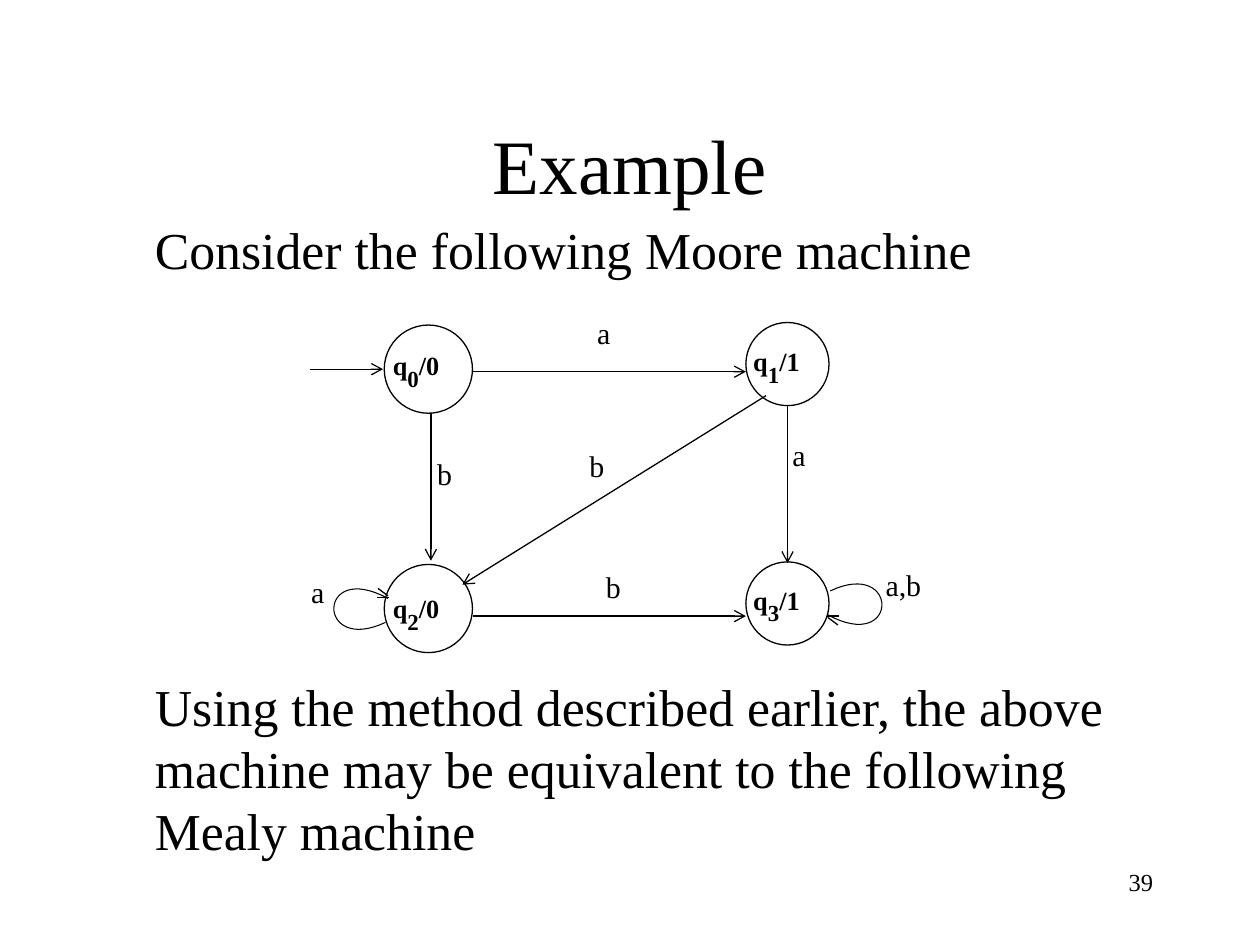
from lxml.etree import SubElement
from pptx import Presentation
from pptx.dml.color import RGBColor
from pptx.enum.shapes import MSO_CONNECTOR as Connector, MSO_SHAPE as Preset
from pptx.enum.text import MSO_ANCHOR as Anchor, PP_ALIGN as Align
from pptx.oxml.ns import qn
from pptx.util import Pt

PX = 9144
BLACK = RGBColor(0, 0, 0)
WHITE = RGBColor(255, 255, 255)
FONT = "Times New Roman"
LOOP_STEPS = 32


def add_text(slide, box, text, size, align=Align.LEFT, anchor=Anchor.TOP,
             spacing=None, bold=False):
    shape = slide.shapes.add_textbox(*(value * PX for value in box))
    frame = shape.text_frame
    frame.word_wrap = True
    frame.vertical_anchor = anchor
    paragraph = frame.paragraphs[0]
    paragraph.text = text
    paragraph.alignment = align
    paragraph.line_spacing = spacing
    font = paragraph.font
    font.name, font.size, font.bold = FONT, Pt(size), bold
    font.color.rgb = BLACK
    return paragraph


def add_title(slide, box, text):
    add_text(slide, box, text, 44, Align.CENTER, Anchor.MIDDLE)


def add_body(slide, box, text):
    left, top, width, height = box
    indent = 38
    add_text(slide, (left + indent, top, width - indent, height), text, 29.6,
             spacing=Pt(35.4))


def add_page_number(slide, box, text):
    add_text(slide, box, text, 14, Align.RIGHT)


def add_line(slide, start, end, arrow=False):
    points = [value * PX for value in (*start, *end)]
    connector = slide.shapes.add_connector(Connector.STRAIGHT, *points)
    connector.line.color.rgb = BLACK
    connector.line.width = Pt(0.75)
    if arrow:
        SubElement(connector.line._get_or_add_ln(), qn("a:tailEnd"), type="arrow")
    SubElement(connector._element.spPr, qn("a:effectLst"))


def add_state(slide, box, label_offset, index, output):
    left, top, width, height = box
    circle = slide.shapes.add_shape(Preset.OVAL, *(value * PX for value in box))
    circle.shadow.inherit = False
    circle.fill.solid()
    circle.fill.fore_color.rgb = WHITE
    circle.line.color.rgb = BLACK
    circle.line.width = Pt(0.75)

    label_box = (left + label_offset[0], top + label_offset[1], 96, 46)
    paragraph = add_text(slide, label_box, "q", 15, spacing=0.8, bold=True)
    subscript = paragraph.add_run()
    subscript.text = index
    subscript.font.size = Pt(22.5)
    subscript._r.get_or_add_rPr().set("baseline", "-30000")
    paragraph.add_run().text = f"/{output}"


def add_loop(slide, origin, direction):
    def place(x, y):
        return origin[0] + direction * x, origin[1] + direction * y

    curve = [place(*point) for point in ((0, 0), (55, -26), (55, 50), (-2, 19))]
    outline = []
    for step in range(LOOP_STEPS + 1):
        t = step / LOOP_STEPS
        weights = ((1 - t) ** 3, 3 * t * (1 - t) ** 2, 3 * t ** 2 * (1 - t), t ** 3)
        outline.append(tuple(
            round(PX * sum(weight * point[axis] for weight, point in zip(weights, curve)))
            for axis in (0, 1)))
    builder = slide.shapes.build_freeform(*outline[0])
    builder.add_line_segments(outline[1:], close=False)
    loop = builder.convert_to_shape()
    loop.shadow.inherit = False
    loop.fill.background()
    loop.line.color.rgb = BLACK
    loop.line.width = Pt(0.6)

    for start, end in (((-2, 21), (6, 27)), ((7, 20), (-3, 20))):
        add_line(slide, place(*start), place(*end))


def add_moore_machine(slide, box):
    left, top = box[:2]

    def place(x, y):
        return left + x, top + y

    states = (
        (68, 8, 70, (-3, 7), "0", "0"),
        (355, 6, 66, (-4, 6), "1", "1"),
        (68, 198, 70, (-3, 10), "2", "0"),
        (355, 196, 66, (-4, 5), "3", "1"),
    )
    for x, y, size, label_offset, index, output in states:
        add_state(slide, (*place(x, y), size, size), label_offset, index, output)

    for origin, direction in (((422, 219), 1), ((69, 244), -1)):
        add_loop(slide, place(*origin), direction)

    transitions = (
        ((9, 43), (67, 43)),
        ((138, 45), (355, 45)),
        ((138, 239), (355, 239)),
        ((105, 78), (105, 195)),
        ((388, 72), (388, 197)),
        ((371, 64), (130, 214)),
    )
    for start, end in transitions:
        add_line(slide, place(*start), place(*end), arrow=True)

    labels = (
        (227, 0, "a"), (100, 112, "b"), (221, 106, "b"), (382, 97, "a"),
        (0, 206, "a"), (234, 202, "b"), (456, 200, "a,b"),
    )
    for x, y, text in labels:
        add_text(slide, (*place(x, y), 101, 41), text, 17.1, spacing=0.8)


def main():
    presentation = Presentation()
    presentation.slide_width = 1000 * PX
    presentation.slide_height = 750 * PX
    slide = presentation.slides.add_slide(presentation.slide_layouts[6])
    add_title(slide, (75, 67, 850, 125), "Example")
    add_body(slide, (75, 168, 850, 60), "Consider the following Moore machine")
    add_moore_machine(slide, (237, 250, 557, 268))
    add_body(slide, (75, 531, 850, 160),
             "Using the method described earlier, the above machine may be "
             "equivalent to the following Mealy machine")
    add_page_number(slide, (717, 683, 208, 50), "39")
    presentation.save("out.pptx")


if __name__ == "__main__":
    main()
